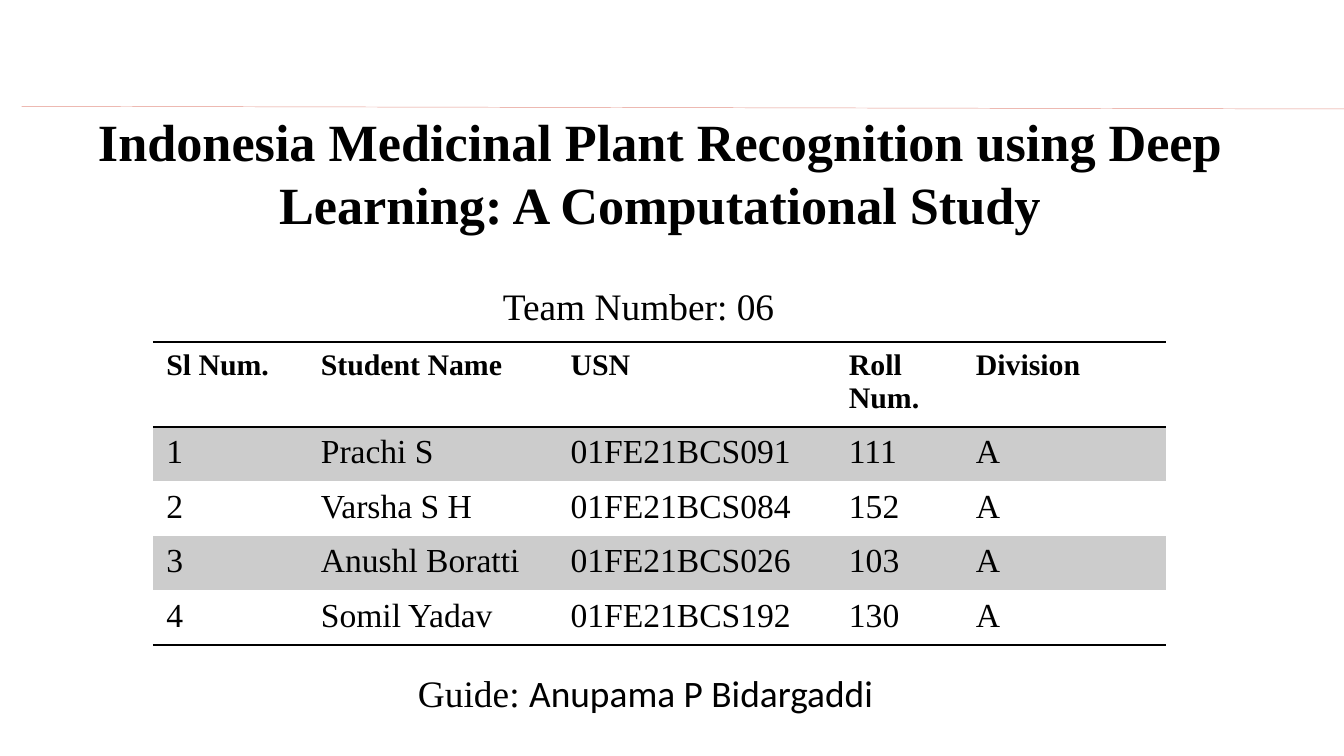
from pptx import Presentation
from pptx.dml.color import RGBColor as RGB
from pptx.enum.shapes import MSO_CONNECTOR as Conn
from pptx.enum.text import MSO_ANCHOR as Anchor, PP_ALIGN as Align
from pptx.oxml import parse_xml
from pptx.oxml.ns import nsdecls
from pptx.util import Cm, Pt

SERIF = "Times New Roman"


def write(frame, text, size=20, font=SERIF, bold=False, align=Align.LEFT, color="000000"):
    """Add a formatted run to the first paragraph of the frame."""
    para = frame.paragraphs[0]
    para.alignment = align
    run = para.add_run()
    run.text = text
    run.font.size, run.font.name, run.font.bold = Pt(size), font, bold
    run.font.color.rgb = RGB.from_string(color)
    return para


def rule(cell, side):
    """Draw a thin black border on the top (T) or bottom (B) of a cell."""
    props = cell._tc.get_or_add_tcPr()
    props.append(parse_xml(
        f'<a:ln{side} {nsdecls("a")} w="12700"><a:solidFill>'
        f'<a:srgbClr val="000000"/></a:solidFill></a:ln{side}>'))


prs = Presentation()
prs.slide_width, prs.slide_height = Cm(25.4), Cm(14.29)
slide = prs.slides.add_slide(prs.slide_layouts[5])
shapes = slide.shapes

# Title
title = shapes.title
title.left, title.top, title.width, title.height = Cm(1.47), Cm(1.6), Cm(22), Cm(3.3)
title.text_frame.vertical_anchor = Anchor.MIDDLE
title.text_frame.word_wrap = True
write(title.text_frame,
      "Indonesia Medicinal Plant Recognition using Deep Learning: A Computational Study",
      size=28, bold=True, align=Align.CENTER)

# Team number
team = shapes.add_textbox(Cm(3.18), Cm(4.19), Cm(17.78), Cm(3.66)).text_frame
team.word_wrap = True
team.margin_top = Cm(1.17)
write(team, "Team Number: 06", align=Align.CENTER)

# Guide
guide = shapes.add_textbox(Cm(7.65), Cm(12.55), Cm(12.78), Cm(1.4)).text_frame
guide.word_wrap = True
write(guide, "Guide: ")
write(guide, "Anupama P Bidargaddi", font="Calibri").space_before = Pt(4)

# Student table
rows = [
    ("Sl Num.", "Student Name", "USN", "Roll Num.", "Division"),
    ("1", "Prachi S", "01FE21BCS091", "111", "A"),
    ("2", "Varsha S H", "01FE21BCS084", "152", "A"),
    ("3", "Anushl Boratti", "01FE21BCS026", "103", "A"),
    ("4", "Somil Yadav", "01FE21BCS192", "130", "A"),
]
widths = [2.92, 4.72, 5.26, 2.4, 3.84]
frame = shapes.add_table(len(rows), len(widths), Cm(2.89), Cm(6.46), Cm(19.14), Cm(5.6))
table = frame.table
table.first_row = table.horz_banding = False
# Built-in "No Style, No Grid"
table._tbl.tblPr[0].text = "{2D5ABB26-0587-4C30-8999-92F81FD0307C}"
for col, width in zip(table.columns, widths):
    col.width = Cm(width)
for r, row in enumerate(rows):
    head, last = r == 0, r == len(rows) - 1
    table.rows[r].height = Cm(1.5 if head else 1.03)
    for c, text in enumerate(row):
        cell = table.cell(r, c)
        write(cell.text_frame, text, size=16 if head else 18, bold=head)
        if head:
            rule(cell, "T")
        if head or last:
            rule(cell, "B")
        if r % 2:
            cell.fill.solid()
            cell.fill.fore_color.rgb = RGB.from_string("CCCCCC")
        else:
            cell.fill.background()

# Line above the title
line = shapes.add_connector(Conn.STRAIGHT, Cm(0.41), Cm(2.01), Cm(25.4), Cm(2.06))
line.line.color.rgb = RGB.from_string("E4948A")
line.line.width = Pt(0.25)
line._element.spPr.append(parse_xml(f'<a:effectLst {nsdecls("a")}/>'))

prs.save("out.pptx")
